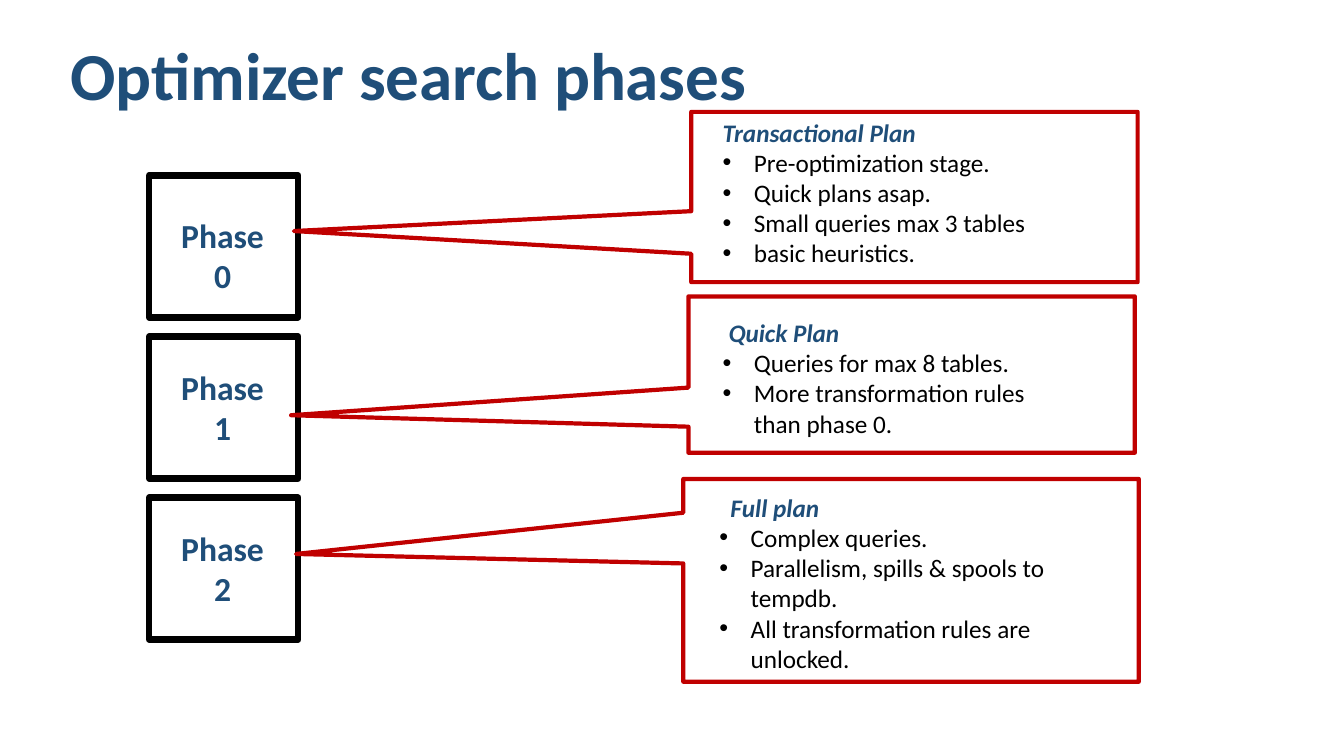
from dataclasses import dataclass

from lxml.etree import SubElement
from pptx import Presentation
from pptx.dml.color import RGBColor
from pptx.enum.shapes import MSO_SHAPE as Shape
from pptx.enum.text import MSO_ANCHOR as Anchor, PP_ALIGN as Align
from pptx.oxml.ns import qn
from pptx.util import Cm, Pt


@dataclass(frozen=True)
class Theme:
    font: str = "Calibri"
    accent: str = "1F4E79"
    body: str = "000000"
    frame: str = "000000"
    callout: str = "C00000"
    title_size: float = 48
    phase_size: float = 24
    note_size: float = 18
    frame_width: float = 4.5
    callout_width: float = 3
    bullet_indent: float = 0.79


class SlideBuilder:
    """Draws styled elements on one slide."""

    def __init__(self, slide, theme):
        self.slide = slide
        self.theme = theme

    def style(self, paragraph, size, color, bold=False, italic=False):
        for run in paragraph.runs:
            font = run.font
            font.name, font.size = self.theme.font, Pt(size)
            font.bold, font.italic = bold, italic
            font.color.rgb = RGBColor.from_string(color)

    def title(self, text, box):
        title = self.slide.shapes.title
        title.left, title.top, title.width, title.height = map(Cm, box)
        frame = title.text_frame
        frame.text = text
        frame.vertical_anchor = Anchor.TOP
        paragraph = frame.paragraphs[0]
        paragraph.alignment = Align.LEFT
        self.style(paragraph, self.theme.title_size, self.theme.accent, bold=True)
        paragraph.runs[0].font._element.set("spc", "-10")

    def outline(self, kind, box, color, width):
        shape = self.slide.shapes.add_shape(kind, *map(Cm, box))
        shape.shadow.inherit = False
        shape.fill.background()
        shape.line.color.rgb = RGBColor.from_string(color)
        shape.line.width = Pt(width)
        return shape

    def text_box(self, lines, box):
        frame = self.slide.shapes.add_textbox(*map(Cm, box)).text_frame
        frame.word_wrap = True
        frame.text = "\n".join(lines)
        return frame.paragraphs

    def phase(self, text, frame_box, text_box):
        self.outline(Shape.RECTANGLE, frame_box, self.theme.frame, self.theme.frame_width)
        paragraph = self.text_box([text], text_box)[0]
        paragraph.alignment = Align.CENTER
        self.style(paragraph, self.theme.phase_size, self.theme.accent, bold=True)

    def callout(self, box, tip):
        shape = self.outline(Shape.RECTANGULAR_CALLOUT, box,
                             self.theme.callout, self.theme.callout_width)
        shape.adjustments[0], shape.adjustments[1] = tip

    def note(self, heading, heading_indent, points, box):
        first, *rest = self.text_box([heading, *points], box)
        first._p.get_or_add_pPr().set("marL", str(Cm(heading_indent)))
        self.style(first, self.theme.note_size, self.theme.accent, bold=True, italic=True)
        for paragraph in rest:
            self.bullet(paragraph)
            self.style(paragraph, self.theme.note_size, self.theme.body)

    def bullet(self, paragraph):
        indent = Cm(self.theme.bullet_indent)
        properties = paragraph._p.get_or_add_pPr()
        properties.set("marL", str(indent))
        properties.set("indent", str(-indent))
        SubElement(properties, qn("a:buFont")).set("typeface", "Arial")
        SubElement(properties, qn("a:buChar")).set("char", "•")


PHASE_TOP, PHASE_PITCH = 4.42, 4.06
PHASES = [
    dict(label_top=5.28, callout=(17.42, 2.82, 11.25, 4.29), tip=(-1.39, 0.2),
         heading="Transactional Plan", heading_indent=0,
         points=["Pre-optimization stage.", "Quick plans asap.",
                 "Small queries max 3 tables", "basic heuristics."],
         note=(17.96, 2.82, 10.26, 4.88)),
    dict(label_top=9.12, callout=(17.35, 7.47, 11.25, 3.94), tip=(-1.39, 0.26),
         heading="Quick Plan", heading_indent=0.15,
         points=["Queries for max 8 tables.",
                 "More transformation rules than phase 0."],
         note=(17.96, 7.87, 9.22, 4.11)),
    dict(label_top=13.18, callout=(17.22, 12.07, 11.48, 5.11), tip=(-1.35, -0.13),
         heading="Full plan", heading_indent=0.28,
         points=["Complex queries.", "Parallelism, spills & spools to tempdb.",
                 "All transformation rules are unlocked."],
         note=(17.88, 12.27, 10.26, 4.88)),
]


def main():
    presentation = Presentation()
    presentation.slide_width, presentation.slide_height = Cm(33.87), Cm(19.05)
    slide = presentation.slides.add_slide(presentation.slide_layouts[5])
    builder = SlideBuilder(slide, Theme())
    builder.title("Optimizer search phases", (1.52, 0.71, 25.93, 2.31))
    for number, phase in enumerate(PHASES):
        builder.phase(f"Phase {number}",
                      (3.76, PHASE_TOP + number * PHASE_PITCH, 3.76, 3.58),
                      (4.11, phase["label_top"], 3, 2.31))
        builder.callout(phase["callout"], phase["tip"])
        builder.note(phase["heading"], phase["heading_indent"],
                     phase["points"], phase["note"])
    presentation.save("out.pptx")


if __name__ == "__main__":
    main()
